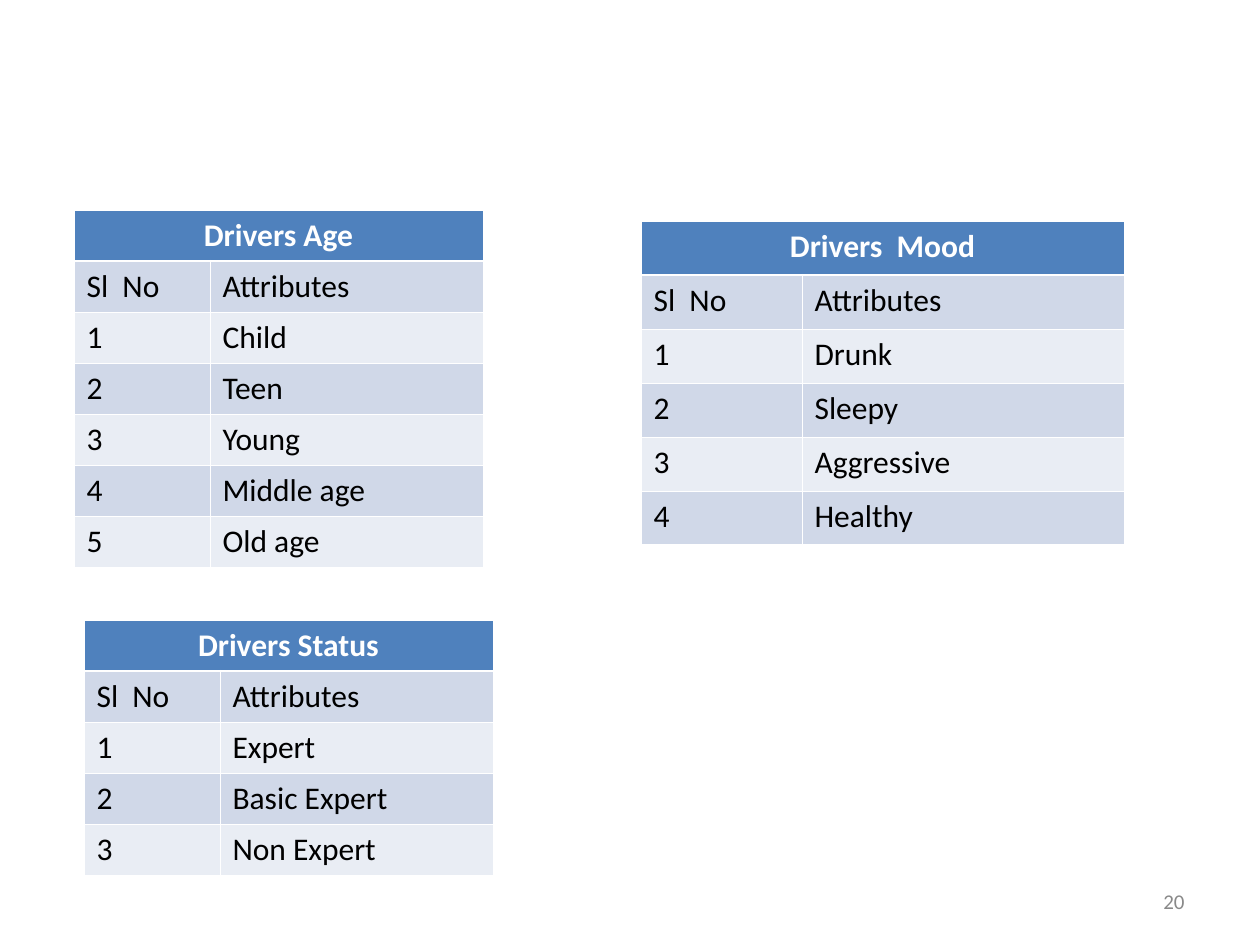
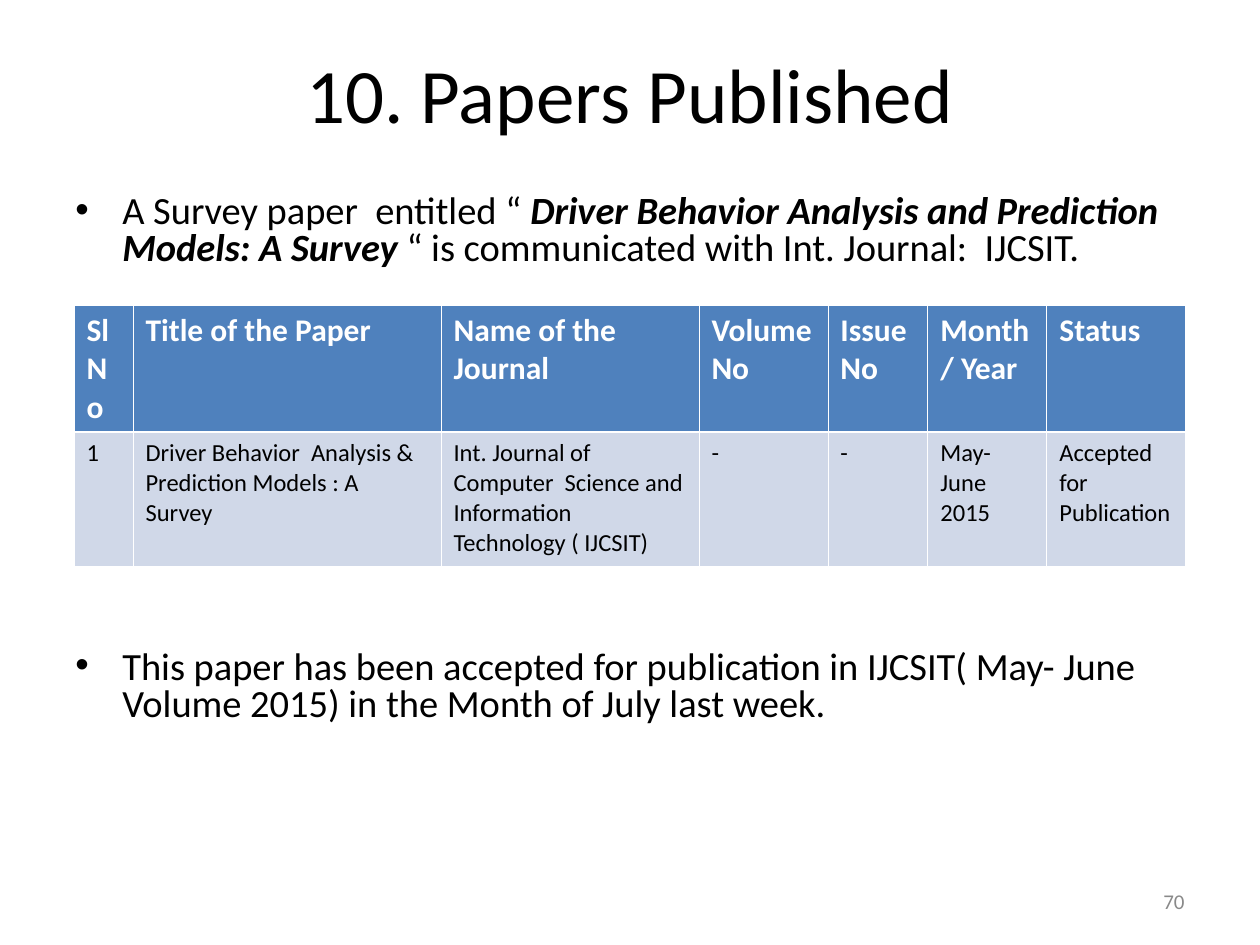
from lxml import etree
from pptx import Presentation, util as u
from pptx.dml.color import RGBColor
from pptx.enum import text as t
from pptx.oxml.ns import qn

EMU_PER_PX = 914400 / 126
FONT = "Calibri"
COLORS = {"ink": "000000", "white": "FFFFFF", "muted": "898989",
          "header": "4F81BD", "band": "D0D8E8", "light": "E9EDF4"}
THIN, THICK = 0.45, 1.47


def px(length):
    return u.Emu(round(length * EMU_PER_PX))


def color(name):
    return RGBColor.from_string(COLORS[name])


def write(para, words, size=18, ink="ink", bold=False, italic=False, align=t.PP_ALIGN.LEFT):
    """Add one formatted span to a paragraph."""
    para.alignment = align
    span = para.add_run()
    span.text = words
    font = span.font
    font.name, font.size, font.bold, font.italic = FONT, u.Pt(size), bold, italic
    font.color.rgb = color(ink)


def add_bullet(para, indent=47):
    props = para._p.get_or_add_pPr()
    props.set("marL", str(px(indent)))
    props.set("indent", str(-px(indent)))
    bullet_color = etree.SubElement(props, qn("a:buClr"))
    etree.SubElement(bullet_color, qn("a:srgbClr"), val=COLORS["ink"])
    etree.SubElement(props, qn("a:buFont"), typeface="Arial")
    etree.SubElement(props, qn("a:buChar"), char="•")


def add_borders(cell, top, bottom):
    props = cell._tc.get_or_add_tcPr()
    for side, width in (("L", THIN), ("R", THIN), ("T", top), ("B", bottom)):
        line = etree.SubElement(props, qn(f"a:ln{side}"), w=str(u.Pt(width)))
        fill = etree.SubElement(line, qn("a:solidFill"))
        etree.SubElement(fill, qn("a:srgbClr"), val=COLORS["white"])


class SlideBuilder:
    def __init__(self, deck):
        self.deck = deck
        self.page = None

    def new_page(self, number):
        self.page = self.deck.slides.add_slide(self.deck.slide_layouts[6])
        frame = self.box(903, 876, 294, 50)
        write(frame.paragraphs[0], number, size=12, ink="muted", align=t.PP_ALIGN.RIGHT)

    def box(self, left, top, width, height, anchor=t.MSO_ANCHOR.MIDDLE):
        box = self.page.shapes.add_textbox(px(left), px(top), px(width), px(height))
        frame = box.text_frame
        frame.word_wrap = True
        frame.vertical_anchor = anchor
        return frame

    def title(self, words):
        frame = self.box(63, 38, 1134, 110)
        write(frame.paragraphs[0], words, size=44, align=t.PP_ALIGN.CENTER)

    def bullets(self, items, gap):
        """Each item is a list of (words, format) spans; gap in points separates items."""
        frame = self.box(63, 189, 1134, 592, t.MSO_ANCHOR.TOP)
        for index, spans in enumerate(items):
            para = frame.add_paragraph() if index else frame.paragraphs[0]
            add_bullet(para)
            para.line_spacing = 0.8
            if index:
                para.space_before = u.Pt(gap)
            for words, style in spans:
                write(para, words, size=22, **style)

    def table(self, left, top, widths, heights, rows, body_size=18):
        """The first row is the header; a single header text spans all columns."""
        shape = self.page.shapes.add_table(len(rows), len(widths), px(left), px(top),
                                           px(sum(widths)), px(sum(heights)))
        table = shape.table
        for column, width in zip(table.columns, widths):
            column.width = px(width)
        for row, height in zip(table.rows, heights):
            row.height = px(height)

        spanned = len(rows[0]) == 1
        if spanned:
            table.cell(0, 0).merge(table.cell(0, len(widths) - 1))
        for r, row in enumerate(table.rows):
            header = r == 0
            for cell in row.cells:
                add_borders(cell, THICK if r == 1 else THIN, THICK if header else THIN)
                cell.fill.solid()
                cell.fill.fore_color.rgb = color("header" if header else "band" if r % 2 else "light")
            style = {"size": 18, "ink": "white", "bold": True} if header else {"size": body_size}
            if header and spanned:
                style["align"] = t.PP_ALIGN.CENTER
            for cell, words in zip(row.cells, rows[r]):
                for index, line in enumerate(words.split("\n")):
                    frame = cell.text_frame
                    write(frame.add_paragraph() if index else frame.paragraphs[0], line, **style)

    def attribute_table(self, left, top, widths, row_height, heading, attributes):
        rows = [[heading], ["Sl  No", "Attributes"]]
        rows += [[str(number), name] for number, name in enumerate(attributes, 1)]
        self.table(left, top, widths, [row_height] * len(rows), rows)


def driver_attributes(builder):
    builder.new_page("20")
    builder.attribute_table(74, 210, (136, 273), 51, "Drivers Age",
                            ["Child", "Teen", "Young", "Middle age", "Old age"])
    builder.attribute_table(84, 620, (136, 273), 51, "Drivers Status",
                            ["Expert", "Basic Expert", "Non Expert"])
    builder.attribute_table(641, 221, (161, 322), 54, "Drivers  Mood",
                            ["Drunk", "Sleepy", "Aggressive", "Healthy"])


def papers_published(builder):
    builder.new_page("70")
    builder.title("10. Papers Published")
    builder.bullets([
        [("A Survey paper  entitled “ ", {}),
         ("Driver Behavior Analysis and Prediction Models: A Survey ",
          {"bold": True, "italic": True}),
         ("“ is communicated with Int. Journal:  IJCSIT.", {})],
        [("This paper has been accepted for publication in IJCSIT( May- June Volume 2015) "
          "in the Month of July last week.", {})],
    ], gap=218)
    builder.table(74, 305, (59, 308, 258, 129, 100, 119, 139), (127, 134), [
        ["Sl No", "Title of the Paper", "Name of the Journal", "Volume No", "Issue No",
         "Month / Year", "Status"],
        ["1", "Driver Behavior  Analysis & Prediction Models : A Survey",
         "Int. Journal of Computer  Science and Information Technology ( IJCSIT)",
         "-", "-", "May-June\n2015", "Accepted for Publication"],
    ], body_size=14)


def main():
    deck = Presentation()
    deck.slide_width, deck.slide_height = px(1260), px(945)
    builder = SlideBuilder(deck)
    driver_attributes(builder)
    papers_published(builder)
    deck.save("out.pptx")


if __name__ == "__main__":
    main()
